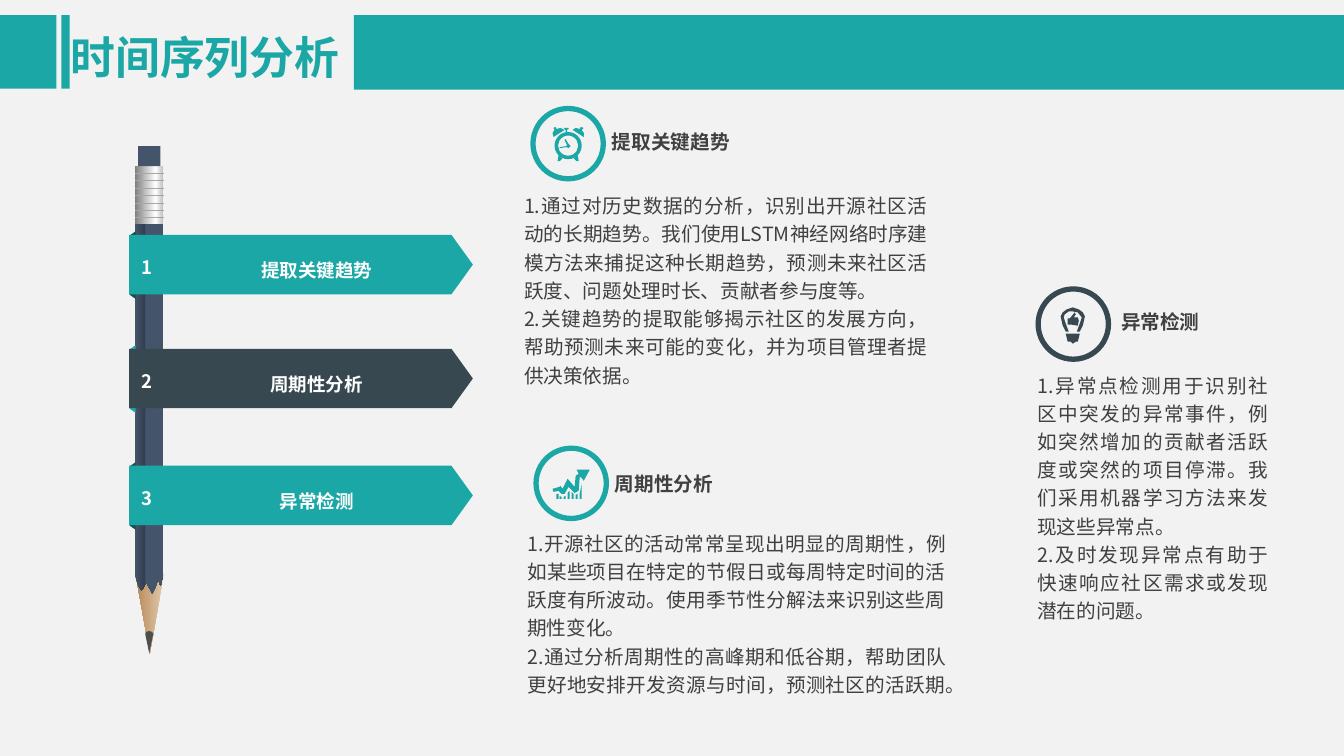
import pptx
import pptx.util
import pptx.dml.color
import pptx.enum.lang
import pptx.enum.shapes
import pptx.enum.text
import pptx.oxml
import pptx.oxml.ns
from pptx.util import Inches

FONT = "Noto Sans CJK SC"
COLORS = {
    "paper": "F2F2F2", "teal": "1BA7A5", "deep": "0D5453", "slate": "374851",
    "navy": "44546A", "navy_shade": "333F50", "lead": "4C504C", "ring": "A6A6A6",
    "wood_light": "E1C9AF", "wood_dark": "B88954", "silver": "BFBFBF",
    "white": "FFFFFF", "steel": "808080", "text": "404040",
}
SHAPE = pptx.enum.shapes.MSO_SHAPE
ALIGN = pptx.enum.text.PP_ALIGN
ANCHOR = pptx.enum.text.MSO_ANCHOR
AUTO = pptx.enum.text.MSO_AUTO_SIZE

BODY = [(1.34, 2.22), (1.62, 2.22), (1.62, 5.7), (1.61, 5.78), (1.59, 5.81),
        (1.57, 5.75), (1.54, 5.83), (1.51, 5.89), (1.48, 5.83), (1.45, 5.78),
        (1.42, 5.84), (1.4, 5.86), (1.37, 5.81), (1.34, 5.72)]
LEAD = [(1.48, 6.26), (1.51, 6.27), (1.52, 6.29), (1.48, 6.48), (1.44, 6.29), (1.45, 6.27)]
CLOCK = [
    [(5.54, 1.54), (5.58, 1.57), (5.55, 1.6), (5.53, 1.6)],
    [(5.73, 1.54), (5.69, 1.57), (5.72, 1.6), (5.74, 1.6)],
    [(5.59, 1.27), (5.64, 1.27), (5.64, 1.28), (5.62, 1.29), (5.63, 1.32), (5.61, 1.32), (5.61, 1.29)],
    [(5.75, 1.28), (5.71, 1.27), (5.68, 1.29), (5.79, 1.36), (5.79, 1.32),
     (5.77, 1.29), (5.79, 1.27), (5.76, 1.26)],
    [(5.52, 1.28), (5.51, 1.26), (5.49, 1.27), (5.5, 1.29), (5.48, 1.32),
     (5.49, 1.36), (5.6, 1.29), (5.56, 1.27)],
    [(5.62, 1.45), (5.55, 1.46), (5.55, 1.47), (5.62, 1.46), (5.64, 1.47),
     (5.66, 1.45), (5.64, 1.43), (5.61, 1.38), (5.6, 1.39), (5.62, 1.43)],
]
CHART = [
    [(5.85, 4.66), (5.79, 4.77), (5.76, 4.73), (5.75, 4.74), (5.74, 4.87), (5.7, 4.89),
     (5.64, 4.83), (5.6, 4.9), (5.57, 4.9), (5.54, 4.87), (5.49, 4.88), (5.48, 4.85),
     (5.55, 4.83), (5.56, 4.82), (5.58, 4.85), (5.63, 4.75), (5.7, 4.83), (5.71, 4.72),
     (5.74, 4.7), (5.72, 4.66)],
] + [
    [(x, 4.95), (x, left), (x + 0.02, right), (x + 0.02, 4.95)]
    for x, left, right in [(5.52, 4.9, 4.9), (5.55, 4.92, 4.93), (5.59, 4.93, 4.92),
                           (5.63, 4.89, 4.87), (5.67, 4.88, 4.9), (5.71, 4.91, 4.9),
                           (5.75, 4.9, 4.8)]
]
BULB = [
    [(10.57, 3.31), (10.71, 3.31), (10.69, 3.39), (10.67, 3.39), (10.64, 3.41),
     (10.62, 3.39), (10.59, 3.39)],
    [(10.69, 3.15), (10.7, 3.18), (10.69, 3.23), (10.68, 3.23), (10.62, 3.22),
     (10.59, 3.22), (10.59, 3.16), (10.61, 3.16), (10.66, 3.1), (10.67, 3.12), (10.65, 3.15)],
    [(10.57, 3.29), (10.6, 3.29), (10.57, 3.21), (10.55, 3.15), (10.56, 3.12), (10.6, 3.09),
     (10.64, 3.09), (10.69, 3.1), (10.73, 3.15), (10.71, 3.21), (10.68, 3.29), (10.71, 3.29),
     (10.74, 3.23), (10.76, 3.14), (10.74, 3.1), (10.7, 3.07), (10.64, 3.05), (10.58, 3.07),
     (10.54, 3.1), (10.52, 3.14), (10.54, 3.23)],
]
SECTIONS = [
    dict(title="提取关键趋势", color="teal", ring=(5.26, 1.05), head=(5.97, 1.19, 1.42),
         box=(5.1, 1.83, 4.2, 2.12), icon=CLOCK, paras=[
             "1.通过对历史数据的分析，识别出开源社区活动的长期趋势。我们使用LSTM神经网络时序建模方法来捕捉这种长期趋势，预测未来社区活跃度、问题处理时长、贡献者参与度等。",
             "2.关键趋势的提取能够揭示社区的发展方向，帮助预测未来可能的变化，并为项目管理者提供决策依据。"]),
    dict(title="周期性分析", color="teal", ring=(5.29, 4.42), head=(6, 4.59, 1.22),
         box=(5.13, 5.18, 4.35, 2.03), icon=CHART, paras=[
             "1.开源社区的活动常常呈现出明显的周期性，例如某些项目在特定的节假日或每周特定时间的活跃度有所波动。使用季节性分解法来识别这些周期性变化。",
             "2.通过分析周期性的高峰期和低谷期，帮助团队更好地安排开发资源与时间，预测社区的活跃期。"]),
    dict(title="异常检测", color="slate", ring=(10.27, 2.84), head=(11.02, 2.98, 1.02),
         box=(10.19, 3.61, 2.49, 2.64), icon=BULB, paras=[
             "1.异常点检测用于识别社区中突发的异常事件，例如突然增加的贡献者活跃度或突然的项目停滞。我们采用机器学习方法来发现这些异常点。",
             "2.及时发现异常点有助于快速响应社区需求或发现潜在的问题。"]),
]
RIBBONS = [(2.33, "teal", "deep"), (3.46, "slate", "teal"), (4.62, "teal", "deep")]


def rgb(name):
    return pptx.dml.color.RGBColor.from_string(COLORS[name])


def paint(sp, color):
    sp.shadow.inherit = False
    sp.line.fill.background()
    sp.fill.solid()
    sp.fill.fore_color.rgb = rgb(color)


def paint_gradient(sp, stops, angle):
    sp.fill.gradient()
    sp.fill.gradient_angle = -angle % 360
    gs_list = sp._element.spPr.find(".//" + pptx.oxml.ns.qn("a:gsLst"))
    for gs in list(gs_list):
        gs_list.remove(gs)
    for pos, color in stops:
        gs_list.append(pptx.oxml.parse_xml(
            f'<a:gs {pptx.oxml.ns.nsdecls("a")} pos="{pos * 1000}">'
            f'<a:srgbClr val="{COLORS[color]}"/></a:gs>'))


def add_preset(s, kind, box, color, adj=None, rotation=0):
    sp = s.shapes.add_shape(kind, *map(Inches, box))
    paint(sp, color)
    sp.rotation = rotation
    if adj is not None:
        sp.adjustments[0] = adj
    return sp


def add_outline(s, contours, color):
    fb = None
    for contour in contours:
        pts = [(Inches(x), Inches(y)) for x, y in contour]
        if fb is None:
            fb = s.shapes.build_freeform(*pts[0])
        else:
            fb.move_to(*pts[0])
        fb.add_line_segments(pts[1:], close=True)
    sp = fb.convert_to_shape()
    paint(sp, color)
    return sp


def add_text(s, box, paras, size=14, color="text", bold=False, align=ALIGN.LEFT,
             wrap=True, grow=False, anchor=ANCHOR.TOP):
    tf = s.shapes.add_textbox(*map(Inches, box)).text_frame
    tf.word_wrap = wrap
    tf.auto_size = AUTO.SHAPE_TO_FIT_TEXT if grow else AUTO.NONE
    tf.vertical_anchor = anchor
    for i, text in enumerate(paras):
        p = tf.add_paragraph() if i else tf.paragraphs[0]
        p.alignment = align
        p.line_spacing = 1.2
        r = p.add_run()
        r.text = text
        r.font.size = pptx.util.Pt(size)
        r.font.bold = bold
        r.font.color.rgb = rgb(color)
        r.font.name = FONT
        r.font.language_id = pptx.enum.lang.MSO_LANGUAGE_ID.SIMPLIFIED_CHINESE
        r._r.get_or_add_rPr().append(pptx.oxml.parse_xml(
            f'<a:ea {pptx.oxml.ns.nsdecls("a")} typeface="{FONT}"/>'))


def add_ring_line(s, y):
    line = s.shapes.add_connector(pptx.enum.shapes.MSO_CONNECTOR.STRAIGHT,
                                  Inches(1.34), Inches(y), Inches(1.63), Inches(y))
    line.line.color.rgb = rgb("ring")
    line.line.width = pptx.util.Pt(0.5)
    line._element.spPr.append(pptx.oxml.parse_xml(
        f'<a:effectLst {pptx.oxml.ns.nsdecls("a")}/>'))


def add_pencil(s):
    wood = add_preset(s, SHAPE.PENTAGON, (1.09, 5.95, 0.79, 0.28), "wood_light", 2.82, 90)
    paint_gradient(wood, [(0, "wood_light"), (100, "wood_dark")], 90)
    body = add_outline(s, [BODY], "navy")
    paint_gradient(body, [(0, "navy"), (34, "navy_shade"), (38, "navy"), (100, "navy")], 0)
    ferrule = add_preset(s, SHAPE.RECTANGLE, (1.34, 1.65, 0.28, 0.57), "silver")
    paint_gradient(ferrule, [(0, "silver"), (27, "white"), (100, "steel")], 180)
    add_preset(s, SHAPE.RECTANGLE, (1.37, 1.45, 0.22, 0.2), "navy")
    add_outline(s, [LEAD], "lead")
    for i in range(7):
        add_ring_line(s, 1.72 + i * 0.44 / 6)


def add_ribbon(s, number, title, top, color, fold):
    add_preset(s, SHAPE.TRAPEZOID, (0.98, top + 0.27, 0.67, 0.06), fold, 0.7, 270)
    add_preset(s, SHAPE.PENTAGON, (1.28, top, 3.41, 0.59), color, 0.36)
    label = dict(size=13.2, color="white", bold=True, align=ALIGN.CENTER, grow=True)
    add_text(s, (1.3, top + 0.12, 0.32, 0.37), [str(number)], wrap=False, **label)
    add_text(s, (2.01, top + 0.15, 2.26, 0.37), [title], **label)


def add_section(s, title, color, ring, head, box, icon, paras):
    add_preset(s, SHAPE.DONUT, (*ring, 0.75, 0.75), color, 0.07)
    add_outline(s, icon, color)
    add_text(s, (*head, 0.38), [title], bold=True, wrap=False, grow=True)
    add_text(s, box, paras, align=ALIGN.JUSTIFY)


def main():
    prs = pptx.Presentation()
    prs.slide_width, prs.slide_height = Inches(13.33), Inches(7.5)
    s = prs.slides.add_slide(prs.slide_layouts[6])
    s.background.fill.solid()
    s.background.fill.fore_color.rgb = rgb("paper")
    for left, width, height in [(0, 0.56, 0.73), (0.61, 0.08, 0.73), (3.51, 9.82, 0.74)]:
        add_preset(s, SHAPE.RECTANGLE, (left, 0.15, width, height), "teal")
    add_pencil(s)
    for number, (section, ribbon) in enumerate(zip(SECTIONS, RIBBONS), 1):
        add_ribbon(s, number, section["title"], *ribbon)
        add_section(s, **section)
    add_preset(s, SHAPE.DONUT, (5.5, 1.31, 0.27, 0.27), "teal", 0.13)
    add_text(s, (0.6, 0.14, 3.38, 0.74), ["时间序列分析"], size=32, color="teal",
             bold=True, anchor=ANCHOR.MIDDLE)
    prs.save("out.pptx")


if __name__ == "__main__":
    main()
